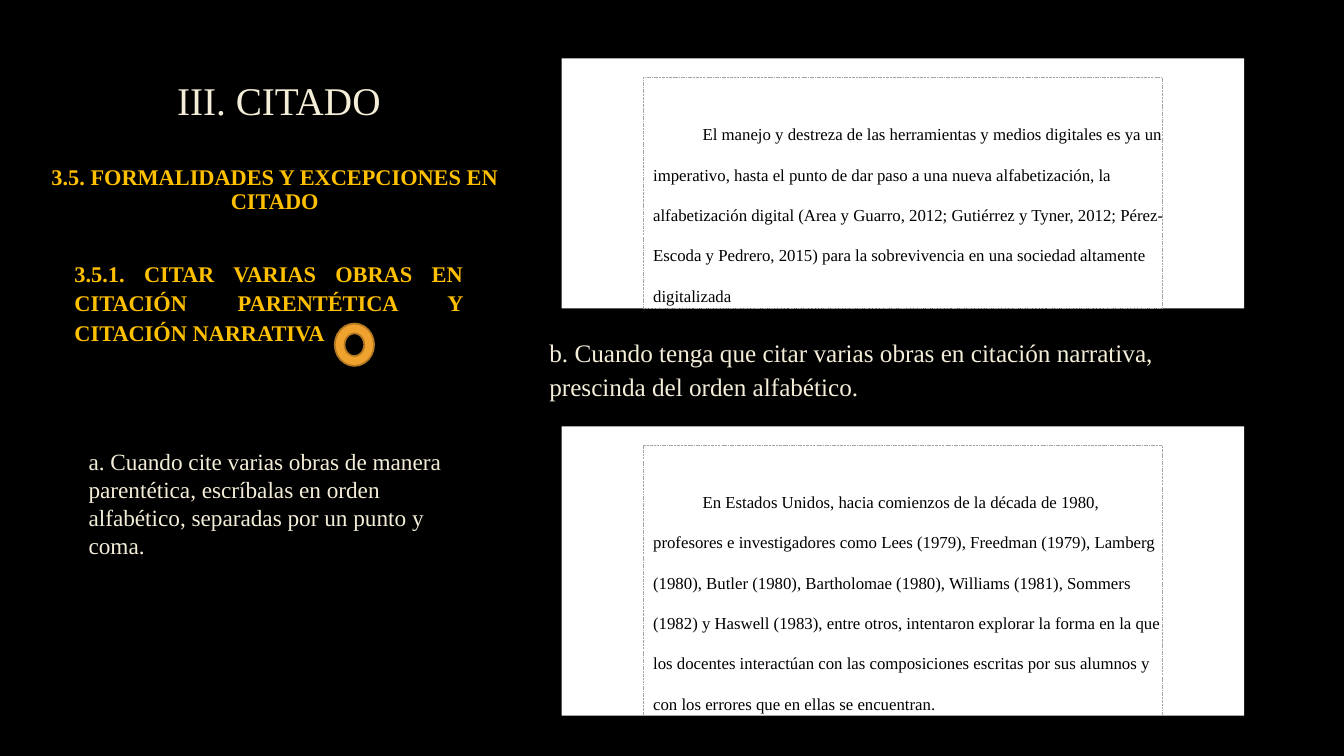
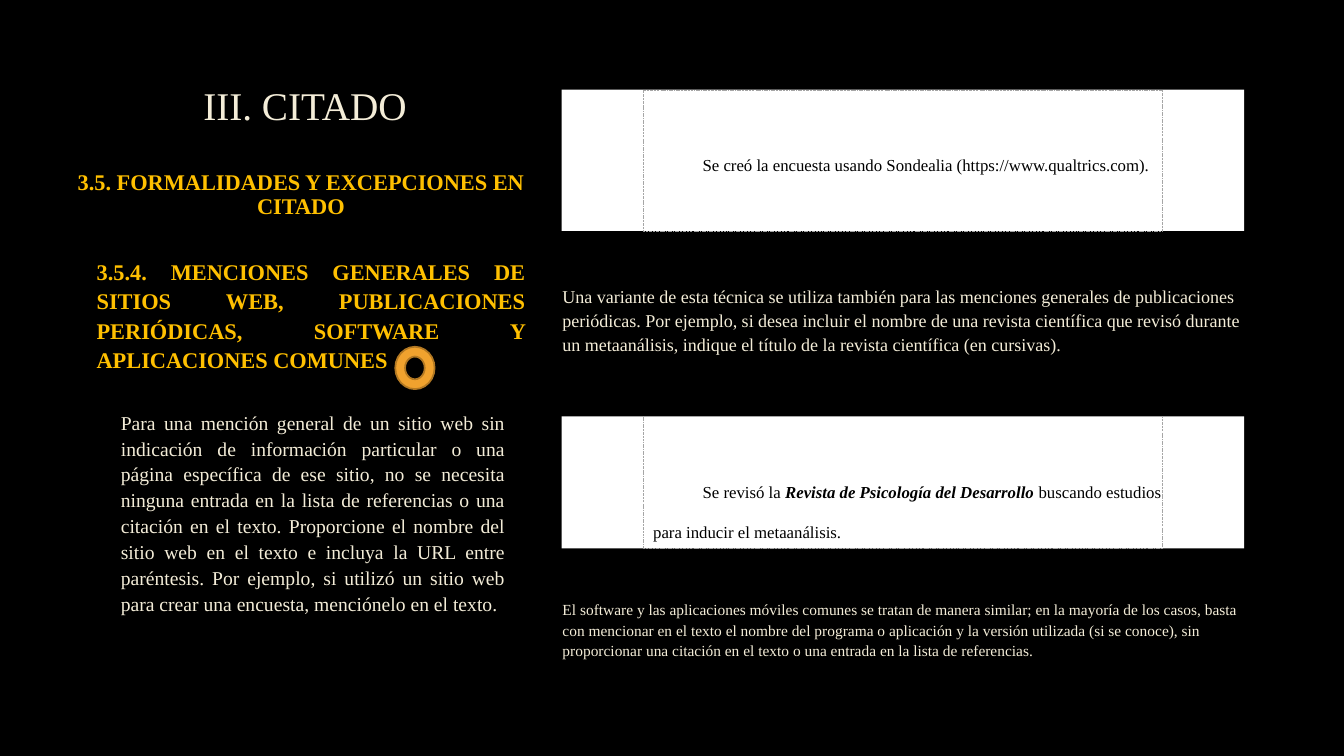
from dataclasses import dataclass, field

from pptx import Presentation
from pptx.dml.color import RGBColor
from pptx.enum import dml, shapes, text
from pptx.util import Inches, Pt


@dataclass(frozen=True)
class Theme:
    font: str = "Times New Roman"
    back: str = "000000"
    cream: str = "F4EDD8"
    gold: str = "FFC000"
    paper: str = "FFFFFF"
    ink: str = "000000"
    dash: str = "A6A6A6"
    ring: str = "F0A22E"
    ring_edge: str = "B27822"
    title: float = 28
    heading: float = 16
    quote: float = 12


THEME = Theme()
LEFT, CENTER, JUSTIFY = text.PP_ALIGN.LEFT, text.PP_ALIGN.CENTER, text.PP_ALIGN.JUSTIFY


@dataclass(frozen=True)
class Span:
    words: str
    emphasis: bool = False


@dataclass(frozen=True)
class Style:
    size: float
    color: str = THEME.cream
    bold: bool = False
    align: text.PP_ALIGN = LEFT
    spacing: float = 1.1
    margin: float = 0.04
    indent: float = 0
    inset: float = 0.09
    anchor: text.MSO_ANCHOR = text.MSO_ANCHOR.TOP


TITLE = Style(THEME.title, align=CENTER, spacing=0.9, margin=0, inset=0.05,
              anchor=text.MSO_ANCHOR.BOTTOM)
SECTION = Style(THEME.heading, THEME.gold, True, CENTER, 0.9, 0)
TOPIC = Style(THEME.heading, THEME.gold, True, JUSTIFY, margin=0)
QUOTE = Style(THEME.quote, THEME.ink, spacing=2, margin=0, indent=0.49, inset=0.45)


@dataclass(frozen=True)
class Place:
    left: float
    top: float
    width: float
    height: float

    def lengths(self) -> tuple:
        return tuple(Inches(n) for n in (self.left, self.top, self.width, self.height))


@dataclass(frozen=True)
class Passage:
    place: Place
    style: Style
    words: str


@dataclass(frozen=True)
class Quote:
    top: float
    height: float
    spans: tuple[Span, ...]
    frame_gap: float = 0


@dataclass(frozen=True)
class Lesson:
    left: float
    top: float
    ring: Place
    passages: list[Passage] = field(default_factory=list)
    quotes: list[Quote] = field(default_factory=list)


LESSONS = [
    Lesson(
        0.4, 0.58, Place(3.32, 3.21, 0.39, 0.42),
        [
            Passage(Place(0.64, 2.46, 4.05, 1.1), TOPIC,
                    "3.5.1. CITAR VARIAS OBRAS EN CITACIÓN PARENTÉTICA Y CITACIÓN NARRATIVA"),
            Passage(Place(0.74, 4.35, 4.05, 1.25), Style(16.6, spacing=1),
                    "a. Cuando cite varias obras de manera parentética, escríbalas en orden "
                    "alfabético, separadas por un punto y coma."),
            Passage(Place(5.31, 3.23, 7.02, 0.86), Style(18),
                    "b. Cuando tenga que citar varias obras en citación narrativa, prescinda "
                    "del orden alfabético."),
        ],
        [
            Quote(0.58, 2.48, (Span(
                "El manejo y destreza de las herramientas y medios digitales es ya un "
                "imperativo, hasta el punto de dar paso a una nueva alfabetización, la "
                "alfabetización digital (Area y Guarro, 2012; Gutiérrez y Tyner, 2012; "
                "Pérez-Escoda y Pedrero, 2015) para la sobrevivencia en una sociedad "
                "altamente digitalizada"),), 0.19),
            Quote(4.23, 2.87, (Span(
                "En Estados Unidos, hacia comienzos de la década de 1980, profesores e "
                "investigadores como Lees (1979), Freedman (1979), Lamberg (1980), Butler "
                "(1980), Bartholomae (1980), Williams (1981), Sommers (1982) y Haswell "
                "(1983), entre otros, intentaron explorar la forma en la que los docentes "
                "interactúan con las composiciones escritas por sus alumnos y con los "
                "errores que en ellas se encuentran."),), 0.19),
        ],
    ),
    Lesson(
        0.66, 0.63, Place(3.92, 3.44, 0.39, 0.42),
        [
            Passage(Place(0.86, 2.44, 4.45, 1.31), TOPIC,
                    "3.5.4. MENCIONES GENERALES DE SITIOS WEB, PUBLICACIONES PERIÓDICAS, "
                    "SOFTWARE Y APLICACIONES COMUNES"),
            Passage(Place(1.06, 3.96, 4.05, 2.72), Style(14, align=JUSTIFY),
                    "Para una mención general de un sitio web sin indicación de información "
                    "particular o una página específica de ese sitio, no se necesita ninguna "
                    "entrada en la lista de referencias o una citación en el texto. "
                    "Proporcione el nombre del sitio web en el texto e incluya la URL entre "
                    "paréntesis. Por ejemplo, si utilizó un sitio web para crear una "
                    "encuesta, menciónelo en el texto."),
            Passage(Place(5.44, 2.72, 7.02, 0.86), Style(12.9),
                    "Una variante de esta técnica se utiliza también para las menciones "
                    "generales de publicaciones periódicas. Por ejemplo, si desea incluir el "
                    "nombre de una revista científica que revisó durante un metaanálisis, "
                    "indique el título de la revista científica (en cursivas)."),
            Passage(Place(5.44, 5.85, 7.02, 0.86), Style(11),
                    "El software y las aplicaciones móviles comunes se tratan de manera "
                    "similar; en la mayoría de los casos, basta con mencionar en el texto el "
                    "nombre del programa o aplicación y la versión utilizada (si se conoce), "
                    "sin proporcionar una citación en el texto o una entrada en la lista de "
                    "referencias."),
        ],
        [
            Quote(0.89, 1.4, (Span(
                "Se creó la encuesta usando Sondealia (https://www.qualtrics.com)."),)),
            Quote(4.13, 1.31, (
                Span("Se revisó la "),
                Span("Revista de Psicología del Desarrollo ", True),
                Span("buscando estudios para inducir el metaanálisis."))),
        ],
    ),
]


def assign(target: object, values: dict) -> None:
    for name, value in values.items():
        setattr(target, name, value)


def add_text(parent, place: Place, style: Style, spans: tuple[Span, ...]) -> None:
    frame = parent.add_textbox(*place.lengths()).text_frame
    assign(frame, {"word_wrap": True, "vertical_anchor": style.anchor,
                   "margin_top": Inches(style.inset)})
    para = frame.paragraphs[0]
    assign(para, {"alignment": style.align, "line_spacing": style.spacing})
    properties = para._p.get_or_add_pPr()
    for name, value in {"marL": style.margin, "indent": style.indent}.items():
        properties.set(name, str(Inches(value)))
    for span in spans:
        run = para.add_run()
        run.text = span.words
        assign(run.font, {"name": THEME.font, "size": Pt(style.size),
                          "bold": style.bold or span.emphasis, "italic": span.emphasis})
        run.font.color.rgb = RGBColor.from_string(style.color)


def add_figure(parent, kind: shapes.MSO_SHAPE, place: Place, fill: str = "",
               line: str = "", weight: float = 0):
    figure = parent.add_shape(kind, *place.lengths())
    figure.shadow.inherit = False
    if fill:
        figure.fill.solid()
        figure.fill.fore_color.rgb = RGBColor.from_string(fill)
    else:
        figure.fill.background()
    if line:
        figure.line.color.rgb = RGBColor.from_string(line)
        figure.line.width = Pt(weight)
    else:
        figure.line.fill.background()
    return figure


def add_quote(page, quote: Quote) -> None:
    group = page.shapes.add_group_shape().shapes
    rectangle = shapes.MSO_SHAPE.RECTANGLE
    add_figure(group, rectangle, Place(5.57, quote.top, 6.77, quote.height), THEME.paper)
    add_text(group, Place(6.38, quote.top, 5.34, quote.height), QUOTE, quote.spans)
    border = add_figure(
        group, rectangle,
        Place(6.38, quote.top + quote.frame_gap, 5.15, quote.height - quote.frame_gap),
        line=THEME.dash, weight=0.25)
    border.line.dash_style = dml.MSO_LINE.DASH_DOT_DOT


def add_lesson(deck, lesson: Lesson) -> None:
    page = deck.slides.add_slide(deck.slide_layouts[6])
    page.background.fill.solid()
    page.background.fill.fore_color.rgb = RGBColor.from_string(THEME.back)
    headings = [
        Passage(Place(lesson.left + 0.34, lesson.top, 4.05, 0.7), TITLE, "III. CITADO"),
        Passage(Place(lesson.left, lesson.top + 0.98, 4.65, 0.61), SECTION,
                "3.5. FORMALIDADES Y EXCEPCIONES EN CITADO"),
    ]
    for passage in headings + lesson.passages:
        add_text(page.shapes, passage.place, passage.style, (Span(passage.words),))
    for quote in lesson.quotes:
        add_quote(page, quote)
    add_figure(page.shapes, shapes.MSO_SHAPE.DONUT, lesson.ring,
               THEME.ring, THEME.ring_edge, 1.25)


def main() -> None:
    deck = Presentation()
    assign(deck, {"slide_width": Inches(13.33), "slide_height": Inches(7.5)})
    for lesson in LESSONS:
        add_lesson(deck, lesson)
    deck.save("out.pptx")


if __name__ == "__main__":
    main()
